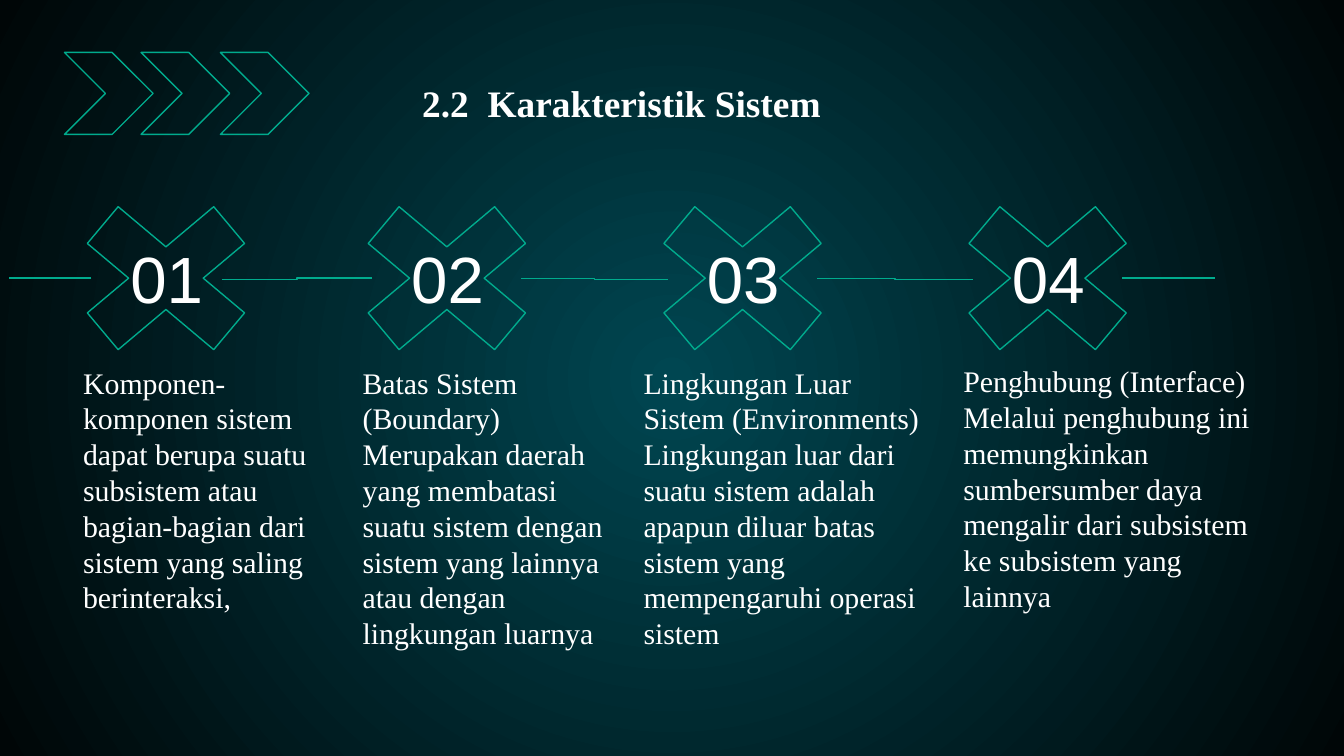
from lxml import etree
from pptx import Presentation
from pptx.dml.color import RGBColor
from pptx.enum.shapes import MSO_CONNECTOR, MSO_SHAPE
from pptx.enum.text import MSO_ANCHOR, PP_ALIGN
from pptx.oxml import parse_xml
from pptx.oxml.ns import nsdecls, qn
from pptx.util import Inches, Pt

CHEVRON, CROSS = MSO_SHAPE.CHEVRON, MSO_SHAPE.MATH_MULTIPLY
STRAIGHT, ELBOW = MSO_CONNECTOR.STRAIGHT, MSO_CONNECTOR.ELBOW
LEFT, CENTER = PP_ALIGN.LEFT, PP_ALIGN.CENTER
TOP, MIDDLE = MSO_ANCHOR.TOP, MSO_ANCHOR.MIDDLE

GREEN = RGBColor(0x00, 0xAB, 0x8D)
WHITE = RGBColor(0xFF, 0xFF, 0xFF)
TEAL = RGBColor(0x00, 0x46, 0x51)
NEAR_BLACK = RGBColor(0x00, 0x06, 0x07)

TITLE = {"name": "Times New Roman", "size": Pt(20), "bold": True}
BODY = {"name": "Times New Roman", "size": Pt(16)}
NUMBER = {"name": "Arial", "size": Pt(35)}

presentation = Presentation()
presentation.slide_width = Inches(10)
presentation.slide_height = presentation.slide_width * 9 // 16
slide = presentation.slides.add_slide(presentation.slide_layouts[6])

# The slide is a grid of 100 columns by 56.25 rows.
COLUMN = presentation.slide_width / 100
ROW = presentation.slide_height / 56.25


def grid(*box):
    """Turn alternating column and row counts into lengths."""
    return [round(count * unit) for count, unit in zip(box, (COLUMN, ROW) * 2)]


def add_text(text, box, font_format, alignment=LEFT, anchor=TOP):
    text_box = slide.shapes.add_textbox(*grid(*box))
    frame = text_box.text_frame
    frame.word_wrap = True
    frame.vertical_anchor = anchor
    for side in ("left", "top", "right", "bottom"):
        setattr(frame, f"margin_{side}", Inches(0.1))
    paragraph = frame.paragraphs[0]
    paragraph.alignment = alignment
    run = paragraph.add_run()
    run.text = text
    run.font.color.rgb = WHITE
    for name, value in font_format.items():
        setattr(run.font, name, value)


# Radial background
fill = slide.background.fill
fill.gradient()
for stop, color in zip(fill.gradient_stops, (TEAL, NEAR_BLACK)):
    stop.color.rgb = color
gradient = slide.background._cSld.find(".//" + qn("a:gradFill"))
gradient.replace(gradient.find(qn("a:lin")), parse_xml(
    f'<a:path {nsdecls("a")} path="circle">'
    '<a:fillToRect l="50000" t="50000" r="50000" b="50000"/></a:path>'))

# Outlined chevrons and crosses
cross_lefts = (3.3, 24.2, 46.2, 68.9)
outlines = [(CHEVRON, (left, 3.9, 6.6, 6.1), 0.5) for left in (4.8, 10.5, 16.4)]
outlines += [(CROSS, (left, 13.1, 18.1, 15.2), 0.235) for left in cross_lefts]
for kind, box, adjustment in outlines:
    shape = slide.shapes.add_shape(kind, *grid(*box))
    shape.adjustments[0] = adjustment
    shape.shadow.inherit = False
    shape.fill.background()
    shape.line.color.rgb = GREEN
    shape.line.width = Pt(0.75)

# Timeline links between the number boxes
number_lefts = [left + 3.5 for left in cross_lefts]
NUMBER_WIDTH = 11.2
links = [(STRAIGHT, (number_lefts[0], 20.7, 0.7, 20.7))]
link_starts = [16.5] + [left + NUMBER_WIDTH - 0.1 for left in number_lefts[1:]]
link_ends = number_lefts[1:] + [90.4]
link_rows = ((20.8, 20.7), (20.7, 20.8), (20.7, 20.8), (20.7, 20.7))
for start, end, (start_row, end_row) in zip(link_starts, link_ends, link_rows):
    links.append((ELBOW, (start, start_row, end, end_row)))
for kind, ends in links:
    connector = slide.shapes.add_connector(kind, *grid(*ends))
    connector.line.color.rgb = GREEN
    connector.line.width = Pt(0.75)
    etree.SubElement(connector._element.spPr, qn("a:effectLst"))

# Title, numbers and descriptions
add_text("2.2  Karakteristik Sistem", (18.8, 5, 54.9, 6.3), TITLE, CENTER)
descriptions = (
    ((5.2, 26.1, 20.5, 23.1),
     "Komponen-komponen sistem dapat berupa suatu subsistem atau "
     "bagian-bagian dari sistem yang saling berinteraksi,"),
    ((26, 26.1, 20.2, 22.2),
     "Batas Sistem (Boundary) Merupakan daerah yang membatasi suatu sistem "
     "dengan sistem yang lainnya atau dengan lingkungan luarnya"),
    ((46.9, 26.1, 23.1, 22.2),
     "Lingkungan Luar Sistem (Environments) Lingkungan luar dari suatu sistem "
     "adalah apapun diluar batas sistem yang mempengaruhi operasi sistem"),
    ((70.7, 26, 24.7, 20.2),
     "Penghubung (Interface) Melalui penghubung ini memungkinkan sumbersumber "
     "daya mengalir dari subsistem ke subsistem yang lainnya"),
)
for index, (left, (box, text)) in enumerate(zip(number_lefts, descriptions), 1):
    add_text(f"{index:02}", (left, 18.2, NUMBER_WIDTH, 4.9), NUMBER, CENTER, MIDDLE)
    add_text(text, box, BODY)

presentation.save("out.pptx")
